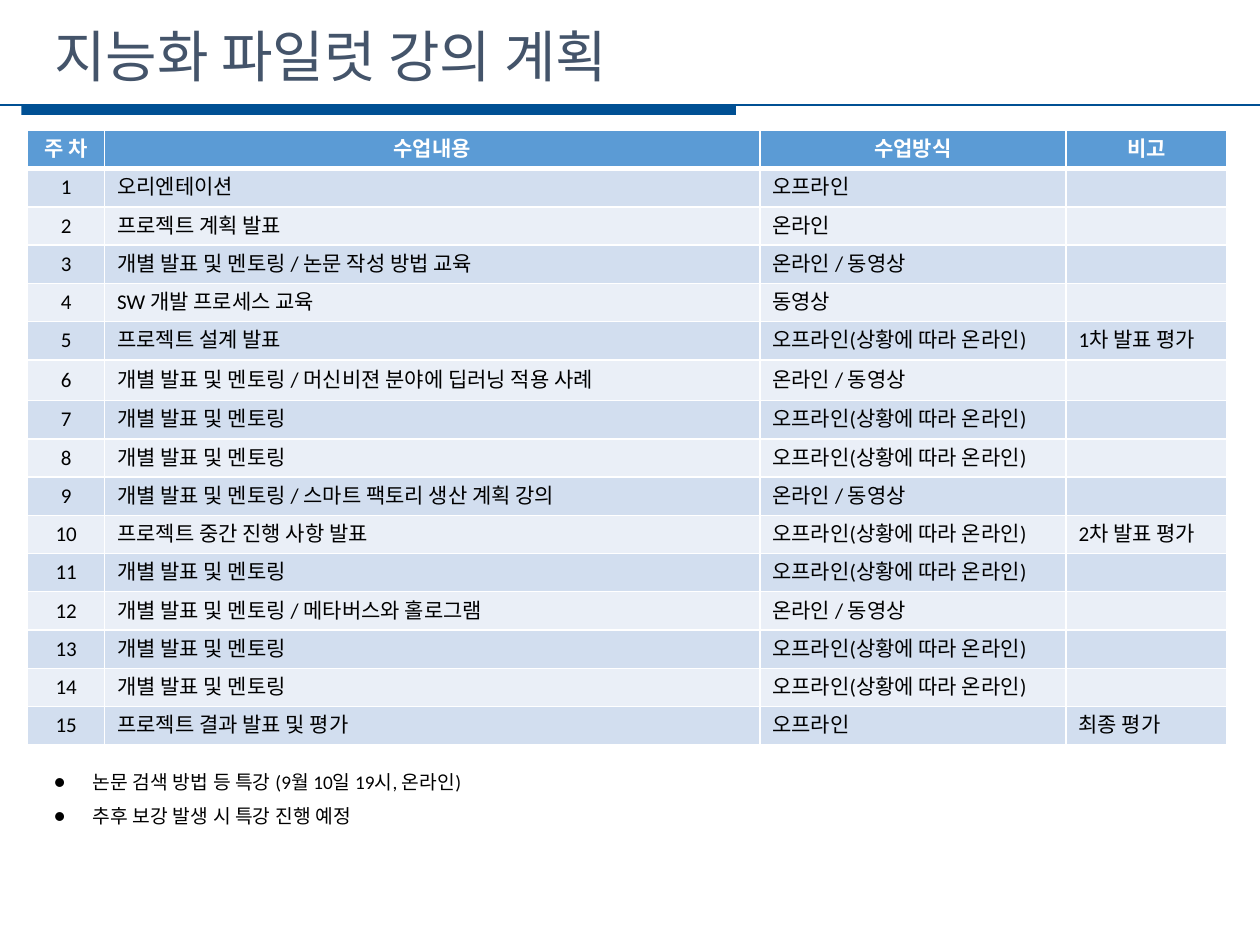
from dataclasses import dataclass

from lxml import etree
from pptx import Presentation
from pptx.dml.color import RGBColor
from pptx.enum.shapes import MSO_CONNECTOR, MSO_SHAPE
from pptx.enum.text import MSO_ANCHOR, MSO_AUTO_SIZE, PP_ALIGN
from pptx.oxml.ns import qn
from pptx.util import Inches, Pt

LINE, RECT = MSO_CONNECTOR.STRAIGHT, MSO_SHAPE.RECTANGLE
MIDDLE, NO_FIT = MSO_ANCHOR.MIDDLE, MSO_AUTO_SIZE.NONE
LEFT, CENTER = PP_ALIGN.LEFT, PP_ALIGN.CENTER
WIDTH, HEIGHT = Inches(10), Inches(7.5)


@dataclass(frozen=True)
class Theme:
    """Colours, fonts and type sizes of the slide."""
    navy: str = "005094"
    title: str = "44546A"
    head: str = "5B9BD5"
    bands: tuple = ("EAEFF7", "D2DEEF")
    white: str = "FFFFFF"
    black: str = "000000"
    face: str = "Calibri"
    title_face: str = "Noto Sans CJK KR"
    title_size: int = 32
    cell_size: int = 12
    note_size: int = 11


THEME = Theme()
TITLE = "지능화 파일럿 강의 계획"
HEADS = ("주 차", "수업내용", "수업방식", "비고")
MENTOR = "개별 발표 및 멘토링"
OFF = "오프라인"
MIXED = "오프라인(상황에 따라 온라인)"
VIDEO = "온라인 / 동영상"
WEEKS = (
    ("오리엔테이션", OFF, ""),
    ("프로젝트 계획 발표", "온라인", ""),
    (f"{MENTOR} / 논문 작성 방법 교육", VIDEO, ""),
    ("SW 개발 프로세스 교육", "동영상", ""),
    ("프로젝트 설계 발표", MIXED, "1차 발표 평가"),
    (f"{MENTOR} / 머신비젼 분야에 딥러닝 적용 사례", VIDEO, ""),
    (MENTOR, MIXED, ""),
    (MENTOR, MIXED, ""),
    (f"{MENTOR} / 스마트 팩토리 생산 계획 강의", VIDEO, ""),
    ("프로젝트 중간 진행 사항 발표", MIXED, "2차 발표 평가"),
    (MENTOR, MIXED, ""),
    (f"{MENTOR} / 메타버스와 홀로그램", VIDEO, ""),
    (MENTOR, MIXED, ""),
    (MENTOR, MIXED, ""),
    ("프로젝트 결과 발표 및 평가", OFF, "최종 평가"),
)
NOTES = ("논문 검색 방법 등 특강 (9월 10일 19시, 온라인)",
         "추후 보강 발생 시 특강 진행 예정")
COLS = (6.1, 52, 24.3, 12.8)
ROW, TALL, TALL_WEEK = 4.01, 4.3, 6


def across(share):
    """Turn a percentage of the slide width into a length."""
    return round(WIDTH * share / 100)


def down(share):
    """Turn a percentage of the slide height into a length."""
    return round(HEIGHT * share / 100)


def place(left, top, width, height):
    """Turn four percentages into a position and a size."""
    return across(left), down(top), across(width), down(height)


def style(para, size, color, face=THEME.face, bold=False):
    """Set the font of a whole paragraph, for Latin and Korean script."""
    font = para.font
    font.size, font.name, font.bold = Pt(size), face, bold
    font.color.rgb = RGBColor.from_string(color)
    props = para._p.pPr.find(qn("a:defRPr"))
    etree.SubElement(props, qn("a:ea"), typeface=face)


def add_title(slide):
    """Move and format the title placeholder."""
    title = slide.shapes.title
    title.left, title.top, title.width, title.height = place(3.3, 1.6, 89.6, 8.53)
    frame = title.text_frame
    frame.text, frame.auto_size = TITLE, NO_FIT
    frame.vertical_anchor = MIDDLE
    para = frame.paragraphs[0]
    para.alignment = LEFT
    style(para, THEME.title_size, THEME.title, THEME.title_face)


def add_rule(slide):
    """Draw the thick bar and the thin line below the title."""
    navy = RGBColor.from_string(THEME.navy)
    bar = slide.shapes.add_shape(RECT, *place(1.7, 11.11, 56.7, 1.07))
    bar.shadow.inherit = False
    bar.fill.solid()
    bar.fill.fore_color.rgb = navy
    bar.line.fill.background()
    level = down(11.11)
    rule = slide.shapes.add_connector(LINE, across(0), level, across(100), level)
    rule.line.color.rgb, rule.line.width = navy, Pt(1.25)
    etree.SubElement(rule._element.spPr, qn("a:effectLst"))


def add_edges(cell, low):
    """Give a cell white borders, with the lower one low points wide."""
    props = cell._tc.get_or_add_tcPr()
    for tag, width in (("lnL", 1), ("lnR", 1), ("lnT", 1), ("lnB", low)):
        edge = etree.SubElement(props, qn(f"a:{tag}"), w=str(Pt(width)))
        fill = etree.SubElement(edge, qn("a:solidFill"))
        etree.SubElement(fill, qn("a:srgbClr"), val=THEME.white)


def fill_cell(cell, text, color, head, center):
    """Write and format one table cell."""
    cell.text, cell.vertical_anchor = text, MIDDLE
    add_edges(cell, 3 if head else 1)
    cell.fill.solid()
    cell.fill.fore_color.rgb = RGBColor.from_string(color)
    para = cell.text_frame.paragraphs[0]
    para.alignment = CENTER if center else LEFT
    style(para, THEME.cell_size, THEME.white if head else THEME.black, bold=head)


def add_plan(slide):
    """Add the table of weeks."""
    rows = [HEADS] + [(str(week), *row) for week, row in enumerate(WEEKS, 1)]
    spot = place(2.2, 13.8, sum(COLS), ROW * len(rows))
    table = slide.shapes.add_table(len(rows), len(COLS), *spot).table
    for col, share in zip(table.columns, COLS):
        col.width = across(share)
    for week, row in enumerate(rows):
        table.rows[week].height = down(TALL if week == TALL_WEEK else ROW)
        head = week == 0
        color = THEME.head if head else THEME.bands[week % 2]
        for col, text in enumerate(row):
            fill_cell(table.cell(week, col), text, color, head, head or col == 0)


def add_notes(slide):
    """Add the bulleted notes below the table."""
    frame = slide.shapes.add_textbox(*place(3.3, 79.6, 95.6, 8.4)).text_frame
    frame.word_wrap = True
    frame.text = "\n".join(NOTES)
    for para in frame.paragraphs:
        para.line_spacing = 1.5
        props = para._p.get_or_add_pPr()
        indent = across(3.1)
        props.set("marL", str(indent))
        props.set("indent", str(-indent))
        etree.SubElement(props, qn("a:buFont"), typeface=THEME.face)
        etree.SubElement(props, qn("a:buChar"), char="●")
        style(para, THEME.note_size, THEME.black)


def main():
    """Build the slide and save it."""
    deck = Presentation()
    deck.slide_width, deck.slide_height = WIDTH, HEIGHT
    slide = deck.slides.add_slide(deck.slide_layouts[5])
    add_rule(slide)
    add_title(slide)
    add_plan(slide)
    add_notes(slide)
    deck.save("out.pptx")


main()
